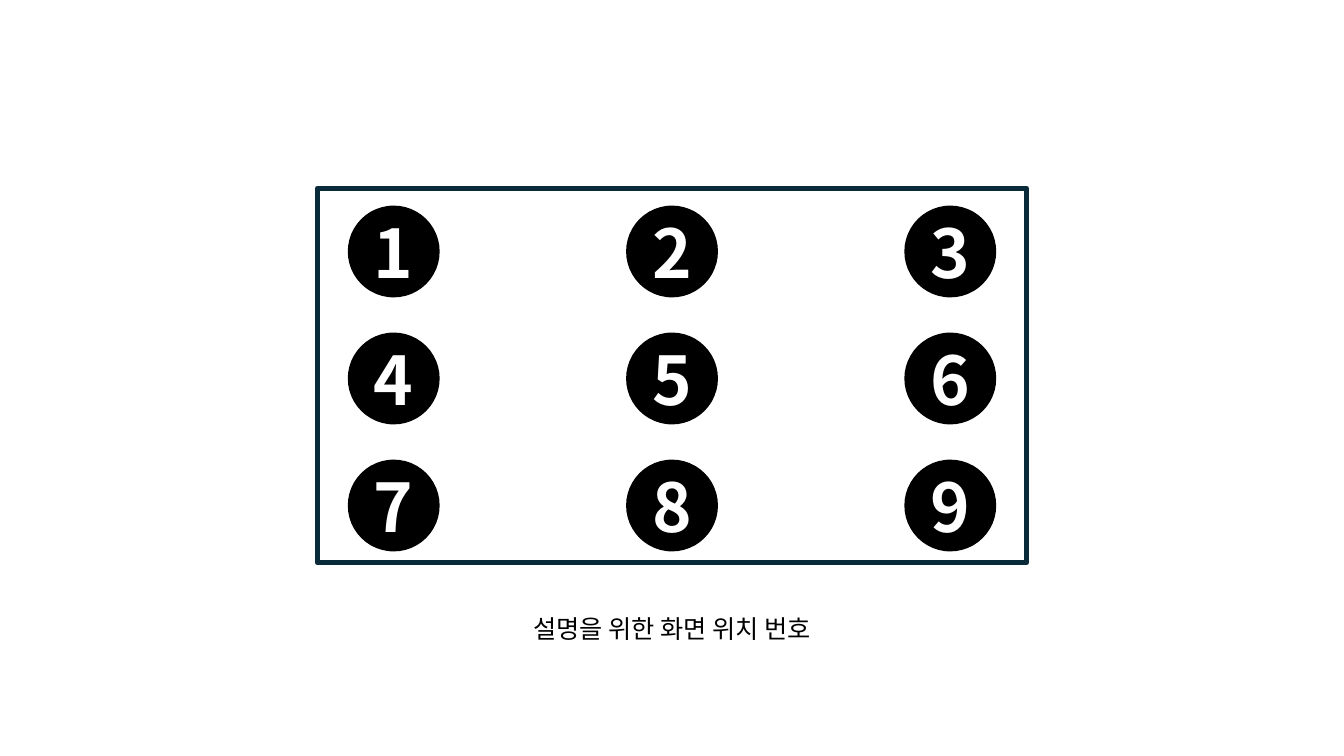
from pptx import Presentation
from pptx import util as u
from pptx.dml.color import RGBColor
from pptx.enum import shapes, text
from pptx.oxml.ns import qn
from lxml import etree

FONT = "Noto Sans CJK KR"
CAPTION = "설명을 위한 화면 위치 번호"
POSITIONS = [("1", "2", "3"), ("4", "5", "6"), ("7", "8", "9")]

SLIDE = (1333, 750)
SCREEN = (315, 187, 703, 371)
CAPTION_BOX = (241, 608, 851, 40)
FIRST_CIRCLE = (346, 205)
PITCH = (276, 126)
DIAMETER = 89


def px(*lengths):
    """Turn px, 100 to the inch, into EMU."""
    return [u.Emu(length * 9144) for length in lengths]


def color(value):
    return RGBColor.from_string(value)


def write(shape, content, size, ink, bold=False):
    frame = shape.text_frame
    frame.word_wrap = True
    frame.margin_left = frame.margin_right = 0
    frame.margin_top = frame.margin_bottom = 0
    para = frame.paragraphs[0]
    para.alignment = text.PP_ALIGN.CENTER
    span = para.add_run()
    span.text = content
    span.font.name = FONT
    span.font.size = u.Pt(size)
    span.font.bold = bold
    span.font.color.rgb = color(ink)
    east_asian = etree.SubElement(span.font._element, qn("a:ea"))
    east_asian.set("typeface", FONT)


def add_outlined(group, kind, place, line, width, fill=None):
    shape = group.shapes.add_shape(kind, *px(*place))
    shape.shadow.inherit = False
    if fill:
        shape.fill.solid()
        shape.fill.fore_color.rgb = color(fill)
    else:
        shape.fill.background()
    shape.line.color.rgb = color(line)
    shape.line.width = u.Pt(width)
    return shape


deck = Presentation()
deck.slide_width, deck.slide_height = px(*SLIDE)
page = deck.slides.add_slide(deck.slide_layouts[6])

screen = page.shapes.add_group_shape()
add_outlined(screen, shapes.MSO_SHAPE.RECTANGLE, SCREEN, "092A39", 4)
for row, numbers in enumerate(POSITIONS):
    for column, number in enumerate(numbers):
        left = FIRST_CIRCLE[0] + column * PITCH[0]
        top = FIRST_CIRCLE[1] + row * PITCH[1]
        circle = add_outlined(screen, shapes.MSO_SHAPE.OVAL,
                              (left, top, DIAMETER, DIAMETER),
                              "000000", 1.5, fill="000000")
        circle.text_frame.vertical_anchor = text.MSO_ANCHOR.MIDDLE
        write(circle, number, size=48, ink="FFFFFF", bold=True)

caption = page.shapes.add_textbox(*px(*CAPTION_BOX))
write(caption, CAPTION, size=18, ink="000000")

deck.save("out.pptx")
